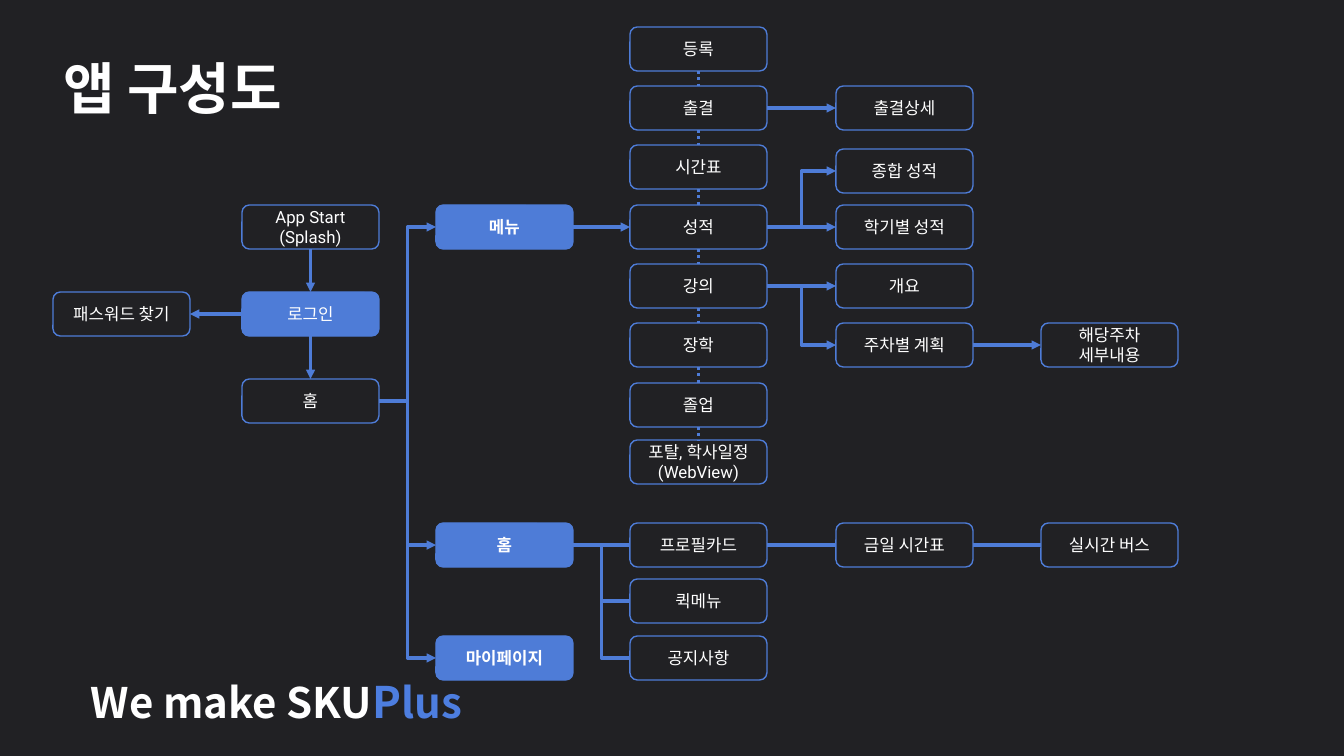
import dataclasses
import itertools

import lxml.etree
import pptx
import pptx.dml.color
import pptx.enum.dml
import pptx.enum.shapes
import pptx.enum.text
import pptx.oxml.ns
import pptx.util

EMU_PER_PX = 914400 / 100.8
PAGE_WIDTH, PAGE_HEIGHT = 1344, 756
BOX_WIDTH, BOX_HEIGHT = 137, 44
COLUMNS = [53, 242, 436, 630, 836, 1041]

ALIGN = pptx.enum.text.PP_ALIGN
ANCHOR = pptx.enum.text.MSO_ANCHOR
TOP, LEFT, BOTTOM, RIGHT = range(4)


@dataclasses.dataclass(frozen=True)
class Theme:
    background: str = "212124"
    text: str = "FFFFFF"
    accent: str = "4E7CD7"
    plus: str = "4D7EE0"
    heading_font: str = "Noto Sans CJK KR"
    box_font: str = "Roboto"
    title_size: int = 40
    slogan_size: int = 30
    slogan_initial_size: int = 31
    box_size: int = 12
    outline: float = 1
    link: float = 2.25


THEME = Theme()

# name: (text, column, top, style)
BOXES = {
    "splash": ("App Start\n(Splash)", 1, 205, "open"),
    "login": ("로그인", 1, 292, "filled"),
    "start": ("홈", 1, 379, "open"),
    "password": ("패스워드 찾기", 0, 292, "open"),
    "menu": ("메뉴", 2, 205, "bold"),
    "home": ("홈", 2, 523, "bold"),
    "my_page": ("마이페이지", 2, 636, "bold"),
    "register": ("등록", 3, 27, "open"),
    "attendance": ("출결", 3, 86, "open"),
    "timetable": ("시간표", 3, 145, "open"),
    "grades": ("성적", 3, 205, "open"),
    "lectures": ("강의", 3, 264, "open"),
    "scholarship": ("장학", 3, 323, "open"),
    "graduation": ("졸업", 3, 383, "open"),
    "portal": ("포탈, 학사일정\n(WebView)", 3, 440, "open"),
    "attendance_detail": ("출결상세", 4, 86, "open"),
    "all_grades": ("종합 성적", 4, 149, "open"),
    "term_grades": ("학기별 성적", 4, 205, "open"),
    "overview": ("개요", 4, 264, "open"),
    "week_plan": ("주차별 계획", 4, 323, "open"),
    "week_detail": ("해당주차\n세부내용", 5, 323, "open"),
    "profile": ("프로필카드", 3, 523, "open"),
    "quick_menu": ("퀵메뉴", 3, 579, "open"),
    "notices": ("공지사항", 3, 636, "open"),
    "today": ("금일 시간표", 4, 523, "open"),
    "bus": ("실시간 버스", 5, 523, "open"),
}
MENU_CHAIN = ["register", "attendance", "timetable", "grades", "lectures",
              "scholarship", "graduation", "portal"]
ARROWS_RIGHT = {
    "start": ["menu", "home", "my_page"],
    "menu": ["grades"],
    "attendance": ["attendance_detail"],
    "grades": ["all_grades", "term_grades"],
    "lectures": ["overview", "week_plan"],
    "week_plan": ["week_detail"],
}
LINES_RIGHT = {
    "home": ["profile", "quick_menu", "notices"],
    "profile": ["today"],
    "today": ["bus"],
}


def px(*lengths):
    return [round(length * EMU_PER_PX) for length in lengths]


def rgb(value):
    return pptx.dml.color.RGBColor.from_string(value)


def set_values(target, values):
    for name, value in values.items():
        setattr(target, name, value)


def add_span(para, text, font, size, color, bold=False):
    span = para.add_run()
    span.text = text
    set_values(span.font, {"name": font, "size": pptx.util.Pt(size), "bold": bold})
    span.font.color.rgb = rgb(color)
    east_asian = lxml.etree.SubElement(span.font._element, pptx.oxml.ns.qn("a:ea"))
    east_asian.set("typeface", THEME.heading_font)


def format_frame(frame, anchor):
    set_values(frame, {
        "word_wrap": True,
        "auto_size": pptx.enum.text.MSO_AUTO_SIZE.NONE,
        "vertical_anchor": anchor,
    })


def add_title(page, text):
    title = page.shapes.title
    set_values(title, dict(zip(("left", "top", "width", "height"),
                               px(53, 48, 257, 78))))
    format_frame(title.text_frame, ANCHOR.TOP)
    para = title.text_frame.paragraphs[0]
    para.alignment = ALIGN.LEFT
    add_span(para, text, THEME.heading_font, THEME.title_size, THEME.text, True)


def add_slogan(page):
    frame = page.shapes.add_textbox(*px(53, 670, 419, 62)).text_frame
    format_frame(frame, ANCHOR.TOP)
    para = frame.paragraphs[0]
    para.alignment = ALIGN.RIGHT
    for text, size, color in (
        ("We make SKU", THEME.slogan_size, THEME.text),
        ("P", THEME.slogan_initial_size, THEME.plus),
        ("lus", THEME.slogan_size, THEME.plus),
    ):
        add_span(para, text, THEME.heading_font, size, color, True)


def add_box(page, text, column, top, style):
    box = page.shapes.add_shape(
        pptx.enum.shapes.MSO_SHAPE.ROUNDED_RECTANGLE,
        *px(COLUMNS[column], top, BOX_WIDTH, BOX_HEIGHT))
    box.shadow.inherit = False
    if style == "open":
        box.fill.background()
    else:
        box.fill.solid()
        box.fill.fore_color.rgb = rgb(THEME.accent)
    box.line.color.rgb = rgb(THEME.accent)
    box.line.width = pptx.util.Pt(THEME.outline)
    frame = box.text_frame
    format_frame(frame, ANCHOR.MIDDLE)
    for index, line in enumerate(text.split("\n")):
        para = frame.add_paragraph() if index else frame.paragraphs[0]
        para.alignment = ALIGN.CENTER
        add_span(para, line, THEME.box_font, THEME.box_size, THEME.text,
                 style == "bold")
    return box


def add_link(page, source, target, sides=(RIGHT, LEFT), arrow=False, dotted=False):
    """Join two boxes, with an elbow when they share neither row nor column."""
    kinds = pptx.enum.shapes.MSO_CONNECTOR
    aligned = source.top == target.top or source.left == target.left
    link = page.shapes.add_connector(
        kinds.STRAIGHT if aligned else kinds.ELBOW, 0, 0, 0, 0)
    link.begin_connect(source, sides[0])
    link.end_connect(target, sides[1])
    link.line.color.rgb = rgb(THEME.accent)
    link.line.width = pptx.util.Pt(THEME.link)
    if dotted:
        link.line.dash_style = pptx.enum.dml.MSO_LINE.ROUND_DOT
    qn = pptx.oxml.ns.qn
    properties = link._element.spPr
    if arrow:
        lxml.etree.SubElement(properties.find(qn("a:ln")), qn("a:tailEnd"),
                              type="triangle")
    lxml.etree.SubElement(properties, qn("a:effectLst"))


def main():
    deck = pptx.Presentation()
    deck.slide_width, deck.slide_height = px(PAGE_WIDTH, PAGE_HEIGHT)
    page = deck.slides.add_slide(deck.slide_layouts.get_by_name("Title Only"))
    page.background.fill.solid()
    page.background.fill.fore_color.rgb = rgb(THEME.background)
    add_title(page, "앱 구성도")
    add_slogan(page)

    boxes = {name: add_box(page, *values) for name, values in BOXES.items()}
    for upper, lower in itertools.pairwise(["splash", "login", "start"]):
        add_link(page, boxes[upper], boxes[lower], (BOTTOM, TOP), arrow=True)
    add_link(page, boxes["login"], boxes["password"], (LEFT, RIGHT), arrow=True)
    for upper, lower in itertools.pairwise(MENU_CHAIN):
        add_link(page, boxes[upper], boxes[lower], (BOTTOM, TOP), dotted=True)
    for links, arrow in ((ARROWS_RIGHT, True), (LINES_RIGHT, False)):
        for source, targets in links.items():
            for target in targets:
                add_link(page, boxes[source], boxes[target], arrow=arrow)
    deck.save("out.pptx")


if __name__ == "__main__":
    main()
